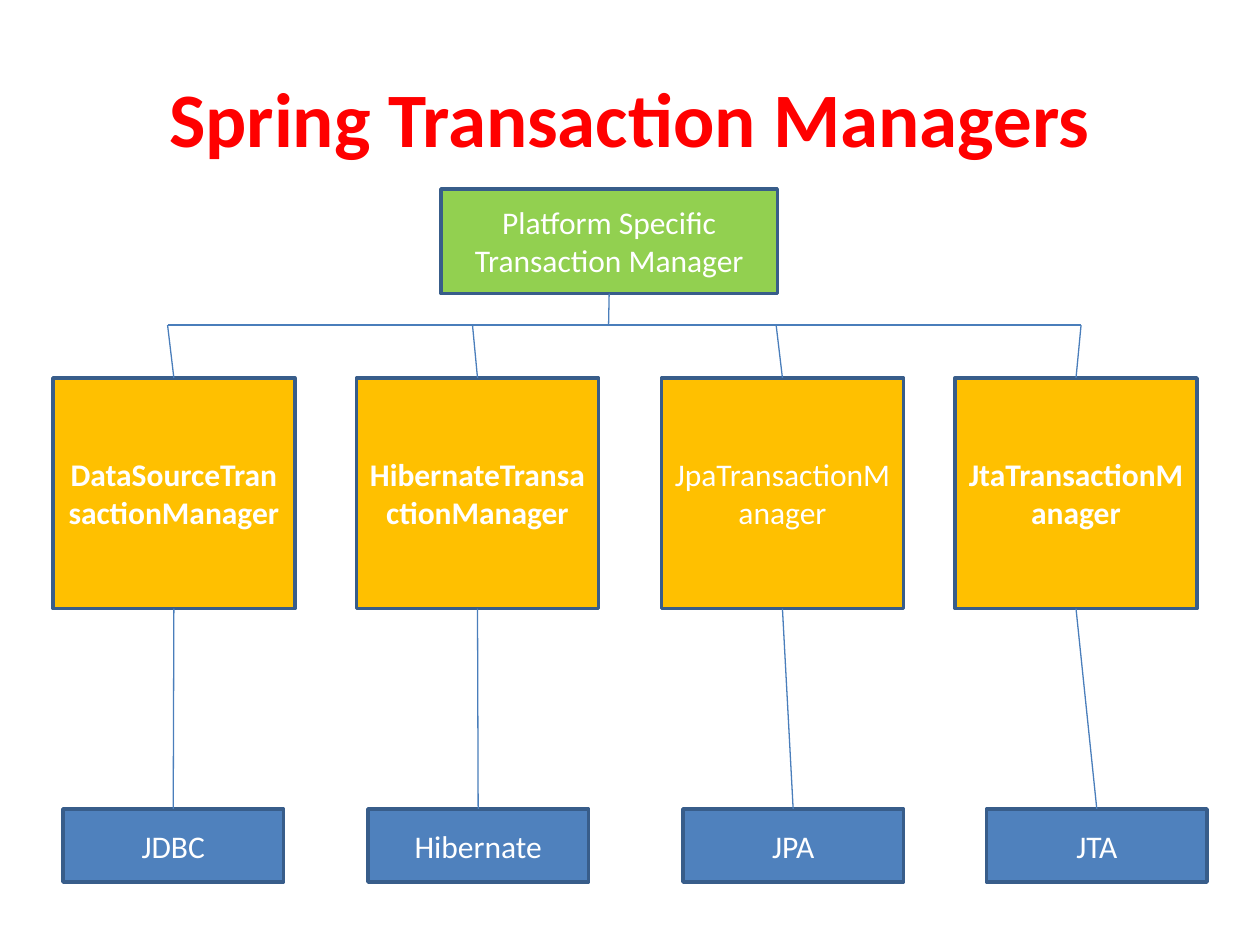
"""Build the Spring transaction managers hierarchy slide."""
import lxml.etree
import pptx
import pptx.dml.color
import pptx.enum.shapes
import pptx.enum.text
import pptx.oxml.ns
import pptx.util

Inches = pptx.util.Inches
RGBColor = pptx.dml.color.RGBColor

RED = RGBColor(0xFF, 0x00, 0x00)
WHITE = RGBColor(0xFF, 0xFF, 0xFF)
AMBER = RGBColor(0xFF, 0xC0, 0x00)
GREEN = RGBColor(0x92, 0xD0, 0x50)
BLUE = RGBColor(0x4F, 0x81, 0xBD)
BORDER = RGBColor(0x38, 0x5D, 0x8A)
LINK = RGBColor(0x4A, 0x7E, 0xBB)

TOP, BOTTOM = 0, 2
BUS_Y = 2.58
MANAGER_Y, MANAGER_SIZE = 3, (1.92, 1.83)
API_Y, API_SIZE = 6.42, (1.75, 0.58)

BRANCHES = [
    ("DataSourceTransactionManager", True, 0.42, "JDBC", 0.5, 1.33),
    ("HibernateTransactionManager", True, 2.83, "Hibernate", 2.92, 3.75),
    ("JpaTransactionManager", False, 5.25, "JPA", 5.42, 6.16),
    ("JtaTransactionManager", True, 7.58, "JTA", 7.83, 8.58),
]


class Diagram:
    """Hold the style and the current slide, and draw each kind of element."""

    def __init__(self, slide):
        self.slide = slide
        self.font_name = "Calibri"

    def label(self, frame, wording, color, size, bold):
        """Put one centred paragraph into a text frame."""
        frame.word_wrap = True
        frame.vertical_anchor = pptx.enum.text.MSO_ANCHOR.MIDDLE
        paragraph = frame.paragraphs[0]
        paragraph.alignment = pptx.enum.text.PP_ALIGN.CENTER
        run = paragraph.add_run()
        run.text = wording
        formats = {"name": self.font_name, "size": pptx.util.Pt(size), "bold": bold}
        for attribute, value in formats.items():
            setattr(run.font, attribute, value)
        run.font.color.rgb = color

    def title(self, wording, *bounds):
        """Add the slide heading."""
        heading = self.slide.shapes.add_textbox(*map(Inches, bounds))
        self.label(heading.text_frame, wording, RED, 44, True)

    def box(self, wording, fill, *bounds, bold=False):
        """Add a bordered rectangle with white text."""
        node = self.slide.shapes.add_shape(
            pptx.enum.shapes.MSO_SHAPE.RECTANGLE, *map(Inches, bounds))
        node.shadow.inherit = False
        node.fill.solid()
        node.fill.fore_color.rgb = fill
        node.line.color.rgb = BORDER
        node.line.width = pptx.util.Pt(2)
        self.label(node.text_frame, wording, WHITE, 18, bold)
        return node

    def link(self, start=(0, 0), end=(0, 0), start_at=None, end_at=None):
        """Add a straight line between points or (box, side) joints."""
        link = self.slide.shapes.add_connector(
            pptx.enum.shapes.MSO_CONNECTOR.STRAIGHT, *map(Inches, (*start, *end)))
        if start_at:
            link.begin_connect(*start_at)
        if end_at:
            link.end_connect(*end_at)
        link.line.color.rgb = LINK
        link.line.width = pptx.util.Pt(0.75)
        lxml.etree.SubElement(
            link._element.spPr, pptx.oxml.ns.qn("a:effectLst"))


def main():
    """Assemble the slide and save it."""
    deck = pptx.Presentation()
    deck.slide_width, deck.slide_height = Inches(10), Inches(7.5)
    diagram = Diagram(deck.slides.add_slide(deck.slide_layouts[6]))

    diagram.title("Spring Transaction Managers", 0.5, 0.3, 9, 1.25)
    platform = diagram.box(
        "Platform Specific Transaction Manager", GREEN, 3.5, 1.5, 2.67, 0.83)
    diagram.link(end=(4.83, BUS_Y), start_at=(platform, BOTTOM))
    diagram.link((BRANCHES[0][-1], BUS_Y), (BRANCHES[-1][-1], BUS_Y))

    for manager_name, bold, manager_x, api_name, api_x, drop_x in BRANCHES:
        manager = diagram.box(
            manager_name, AMBER, manager_x, MANAGER_Y, *MANAGER_SIZE, bold=bold)
        api = diagram.box(api_name, BLUE, api_x, API_Y, *API_SIZE)
        diagram.link((drop_x, BUS_Y), end_at=(manager, TOP))
        diagram.link(start_at=(manager, BOTTOM), end_at=(api, TOP))

    deck.save("out.pptx")


if __name__ == "__main__":
    main()
